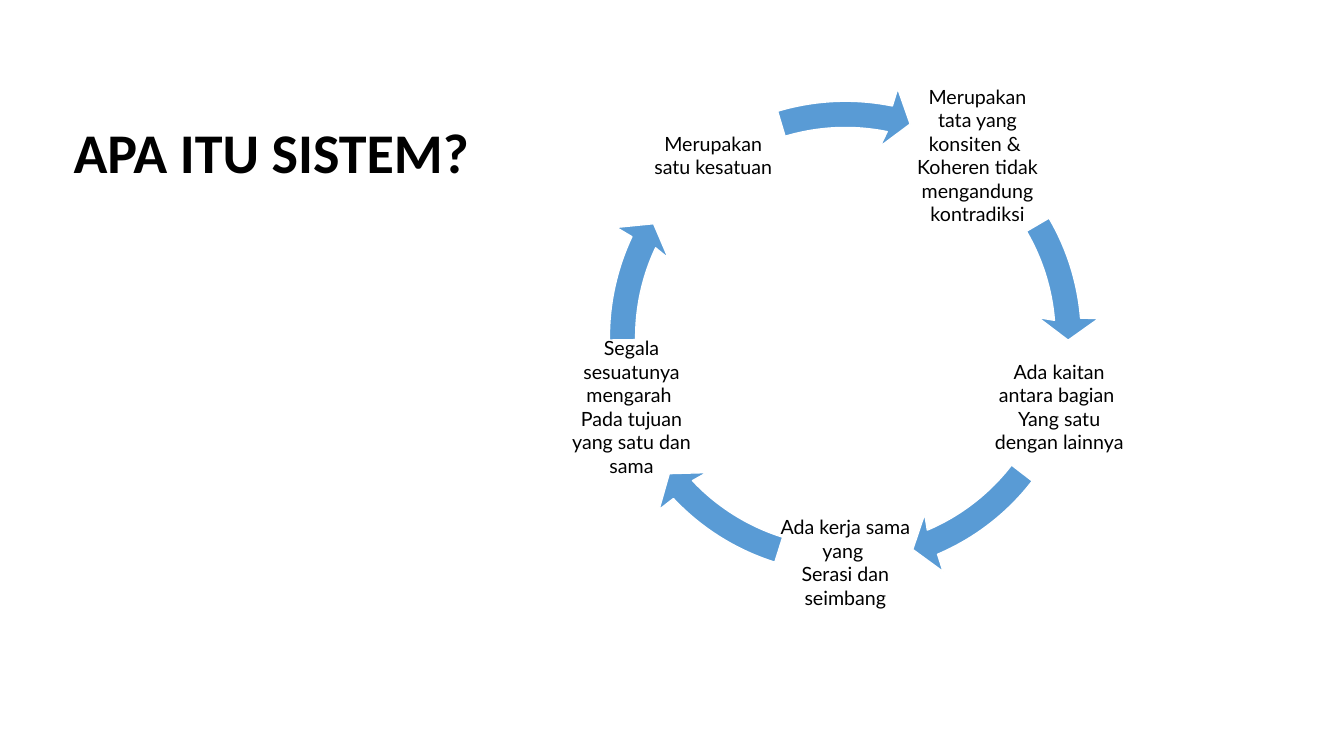
from math import cos, radians, sin, tan

from lxml import etree
from pptx import Presentation
from pptx import util as u
from pptx.dml.color import RGBColor
from pptx.enum import text
from pptx.oxml import ns

BLACK, WHITE, BLUE = "000000", "FFFFFF", "599BD5"

# Clockwise from the upper right: paragraphs of each label
LABELS = [
    ["Merupakan tata yang konsiten & ", "Koheren tidak mengandung kontradiksi"],
    ["Ada kaitan antara bagian ", "Yang satu dengan lainnya"],
    ["Ada kerja sama yang ", "Serasi dan seimbang"],
    ["Segala sesuatunya mengarah ", "Pada tujuan yang satu dan sama"],
    ["Merupakan satu kesatuan"],
]
# Start and tip angle of the arrow after each label, clockwise from the right
ARROW_ANGLES = [(-30.3, 0.8), (37.6, 72.4), (107.4, 142.2), (179.3, 210.6), (253.3, 286.9)]

FIRST_ANGLE = -54
LABEL_RADIUS, LABEL_SIZE = 2.23, 1.34
ARROW_RADIUS, BAND_HALF = 2.21, 0.13
HEAD_HALF, HEAD_LENGTH = 0.3, 0.22
HEAD_ANGLE = 5.4


def color(value):
    return RGBColor.from_string(value)


def apply(target, values):
    for name, value in values.items():
        setattr(target, name, value)


def place(shape, box):
    apply(shape, dict(zip(("left", "top", "width", "height"), map(u.Inches, box))))


def write(frame, paragraphs, margins, align, spacing, font):
    side, top = (u.Inches(margin) for margin in margins)
    apply(frame, {
        "word_wrap": True, "auto_size": text.MSO_AUTO_SIZE.NONE,
        "vertical_anchor": text.MSO_ANCHOR.MIDDLE,
        "margin_left": side, "margin_right": side,
        "margin_top": top, "margin_bottom": top,
    })
    frame.text = "\n".join(paragraphs)
    for paragraph in frame.paragraphs:
        apply(paragraph, {"alignment": align, "line_spacing": spacing})
        run_font = paragraph.runs[0].font
        apply(run_font, font)
        run_font.color.rgb = color(BLACK)


def polar(center, radius, angle):
    x, y = center
    return x + radius * cos(radians(angle)), y + radius * sin(radians(angle))


def arc(center, radius, start, end):
    """Four Bézier points of a circular arc."""
    reach = radius * 4 / 3 * tan(radians(end - start) / 4)
    first, last = polar(center, radius, start), polar(center, radius, end)
    return [first, polar(first, reach, start + 90), polar(last, -reach, end + 90), last]


def add_heading(slide, box):
    title = slide.shapes.title
    place(title, box)
    write(title.text_frame, ["APA ITU SISTEM?"], (0.1, 0.05), text.PP_ALIGN.LEFT, 0.9,
          {"name": "Calibri", "size": u.Pt(40), "bold": True})


def add_label(slide, center, paragraphs):
    left, top = (u.Inches(c - LABEL_SIZE / 2) for c in center)
    size = u.Inches(LABEL_SIZE)
    label = slide.shapes.add_textbox(left, top, size, size)
    write(label.text_frame, paragraphs, (0.02, 0.02), text.PP_ALIGN.CENTER, 1.0,
          {"name": "Lato", "size": u.Pt(14)})


def fit_outline(arrow, box, curve_starts):
    """Bend the arcs and let the arrow's frame span the whole ring."""
    outline = arrow.element.spPr.find(".//" + ns.qn("a:path"))
    left, top, width, height = map(u.Inches, box)
    for point in outline.iter(ns.qn("a:pt")):
        for axis, shift in (("x", arrow.left - left), ("y", arrow.top - top)):
            point.set(axis, str(int(point.get(axis)) + shift))
    outline.set("w", str(width))
    outline.set("h", str(height))

    segments = list(outline)
    for start in curve_starts:
        curve = etree.Element(ns.qn("a:cubicBezTo"))
        segments[start].addprevious(curve)
        for segment in segments[start:start + 3]:
            curve.append(segment[0])
            outline.remove(segment)
    place(arrow, box)


def add_arrow(slide, box, center, start, tip):
    neck = tip - HEAD_ANGLE
    outer = arc(center, ARROW_RADIUS + BAND_HALF, start, neck)
    inner = arc(center, ARROW_RADIUS - BAND_HALF, neck, start)

    # The head's base lies square to the tangent at the tip
    point = polar(center, ARROW_RADIUS, tip)
    base = polar(point, HEAD_LENGTH, tip - 90)
    head = [polar(base, HEAD_HALF, tip), point, polar(base, -HEAD_HALF, tip)]

    outline = [(u.Inches(x), u.Inches(y)) for x, y in outer + head + inner]
    builder = slide.shapes.build_freeform(*outline[0])
    builder.add_line_segments(outline[1:], close=True)
    arrow = builder.convert_to_shape()
    fit_outline(arrow, box, (1, len(outer + head) + 1))
    arrow.shadow.inherit = False
    arrow.fill.solid()
    arrow.fill.fore_color.rgb = color(BLUE)
    arrow.line.color.rgb = color(WHITE)
    arrow.line.width = u.Pt(1)


def add_cycle(slide, box):
    left, top, width, height = box
    center = left + width / 2, top + height / 2
    for i, (paragraphs, angles) in enumerate(zip(LABELS, ARROW_ANGLES)):
        label_angle = FIRST_ANGLE + i * 360 / len(LABELS)
        add_label(slide, polar(center, LABEL_RADIUS, label_angle), paragraphs)
        add_arrow(slide, box, center, *angles)


def main():
    deck = Presentation()
    apply(deck, {"slide_width": u.Inches(13.33), "slide_height": u.Inches(7.5)})
    slide = deck.slides.add_slide(deck.slide_layouts[5])
    add_cycle(slide, (5.87, 0.83, 5.03, 5.03))
    add_heading(slide, (0.63, 1.25, 4.42, 0.58))
    deck.save("out.pptx")


if __name__ == "__main__":
    main()
